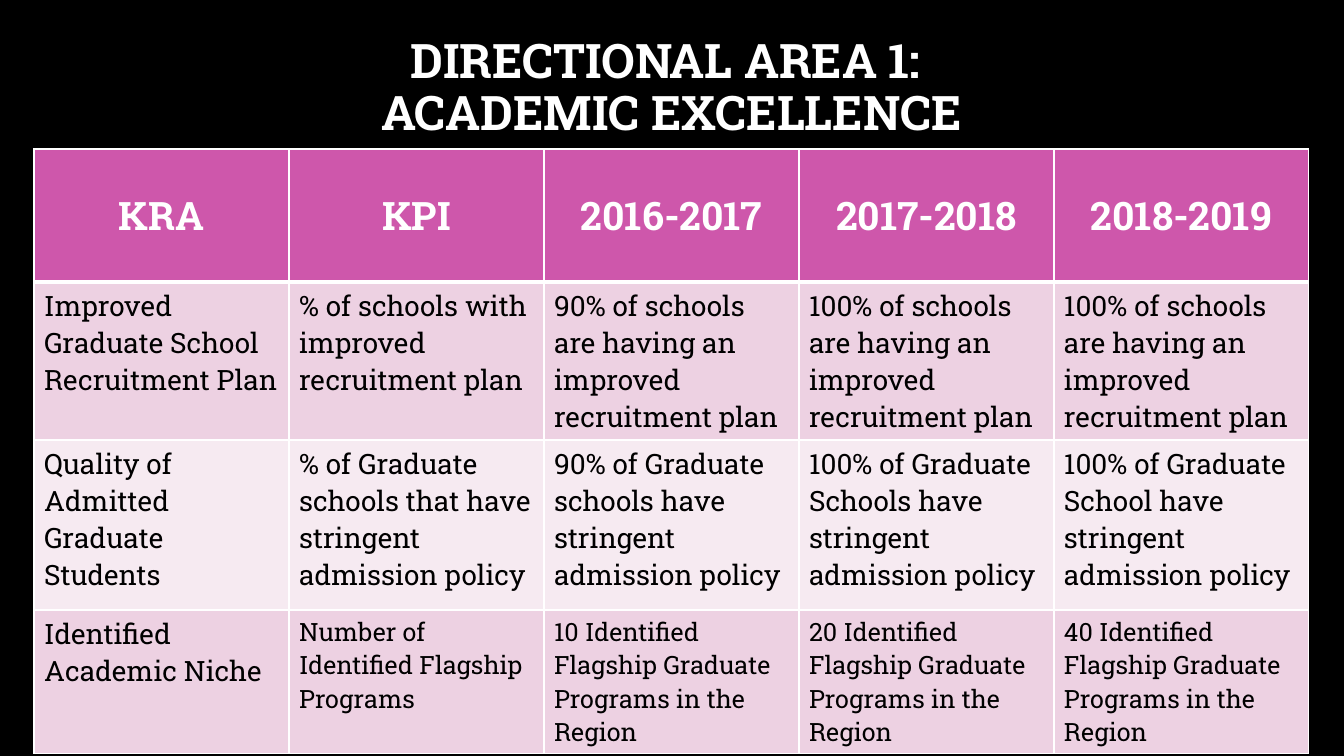
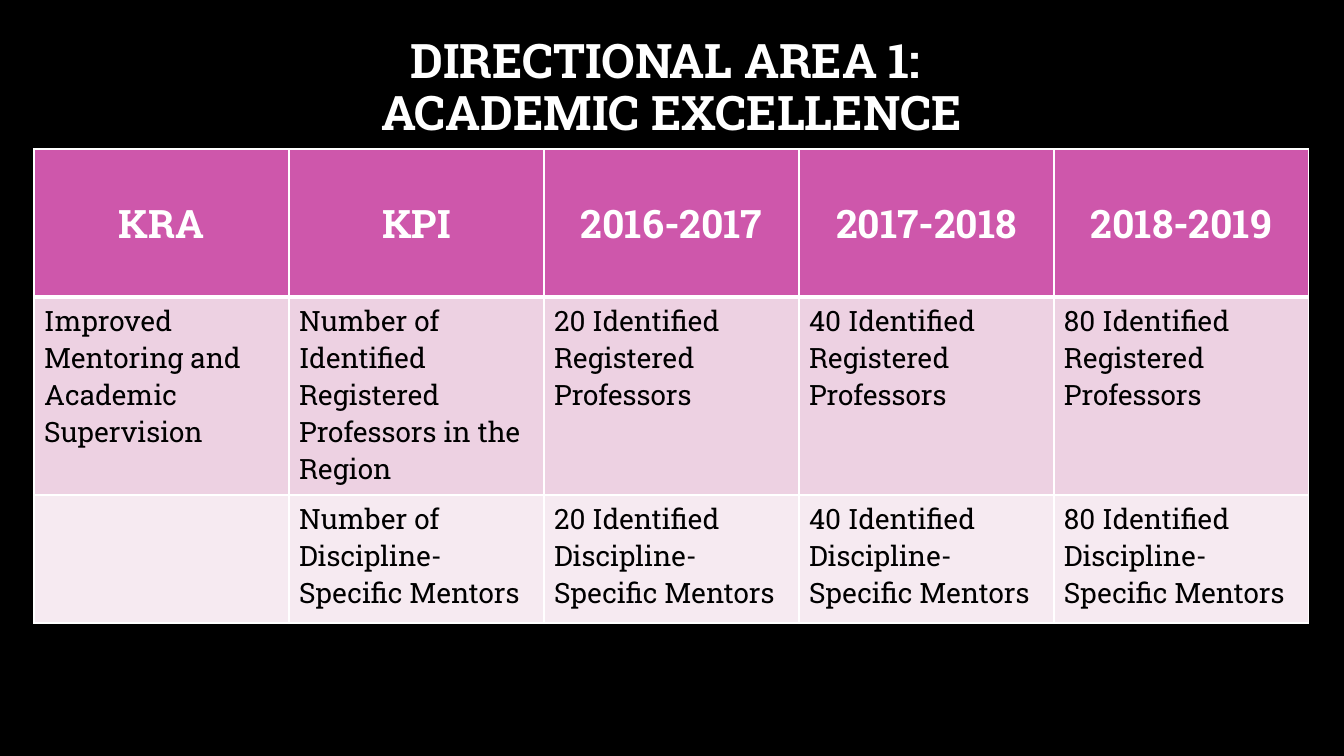
from lxml import etree
from pptx import Presentation
from pptx.dml.color import RGBColor
from pptx.enum.text import MSO_ANCHOR, MSO_AUTO_SIZE, PP_ALIGN
from pptx.oxml.ns import qn
from pptx.util import Emu, Pt

MIDDLE, TOP = MSO_ANCHOR.MIDDLE, MSO_ANCHOR.TOP
CENTER, LEFT = PP_ALIGN.CENTER, PP_ALIGN.LEFT
NO_AUTOFIT = MSO_AUTO_SIZE.NONE

BLACK = RGBColor(0x00, 0x00, 0x00)
WHITE = RGBColor(0xFF, 0xFF, 0xFF)
PINK = RGBColor(0xCE, 0x57, 0xAB)
BANDS = [RGBColor(0xED, 0xD1, 0xE2), RGBColor(0xF6, 0xEA, 0xF1)]

FONT = "Roboto Slab"
PX = 914400 / 100.8
TITLE = "DIRECTIONAL AREA 1: \vACADEMIC EXCELLENCE"
HEADER = ["KRA", "KPI", "2016-2017", "2017-2018", "2018-2019"]
TABLE_LEFT, TABLE_TOP, COL_WIDTH = 34, 149, 255

# Each slide: row heights in px, body rows, and the text sizes that differ from 20 pt
SLIDES = [
    ([133, 133, 170, 133], [
        ["Improved Graduate School Recruitment Plan",
         "% of schools with improved recruitment plan",
         "90% of schools are having an improved recruitment plan",
         "100% of schools are having an improved recruitment plan",
         "100% of schools are having an improved recruitment plan"],
        ["Quality of Admitted Graduate Students",
         "% of Graduate schools that have stringent admission policy",
         "90% of Graduate schools have stringent admission policy",
         "100% of Graduate Schools have stringent admission policy",
         "100% of Graduate School have stringent admission policy"],
        ["Identified Academic Niche",
         "Number of Identified Flagship Programs",
         "10 Identified Flagship Graduate Programs in the Region",
         "20 Identified Flagship Graduate Programs in the Region",
         "40 Identified Flagship Graduate Programs in the Region"],
    ], {(3, col): 18 for col in range(1, 5)}),
    ([148, 198, 128], [
        ["Improved Mentoring and Academic Supervision",
         "Number of Identified Registered Professors in the Region",
         "20 Identified Registered Professors",
         "40 Identified Registered Professors",
         "80 Identified Registered Professors"],
        ["",
         "Number of Discipline-Specific Mentors",
         "20 Identified Discipline-Specific Mentors",
         "40 Identified Discipline-Specific Mentors",
         "80 Identified Discipline-Specific Mentors"],
    ], {}),
]


def px(n):
    return Emu(round(n * PX))


def set_borders(cell, **widths):
    """Draw white borders; widths are points keyed by side, in the order L, R, T, B."""
    tc_pr = cell._tc.get_or_add_tcPr()
    for side, width in widths.items():
        ln = etree.SubElement(tc_pr, qn(f"a:ln{side}"), w=str(Pt(width)))
        fill = etree.SubElement(ln, qn("a:solidFill"))
        etree.SubElement(fill, qn("a:srgbClr"), val=str(WHITE))


prs = Presentation()
prs.slide_width, prs.slide_height = px(1344), px(756)
background = prs.slide_master.background.fill
background.solid()
background.fore_color.rgb = BLACK

for heights, body, sizes in SLIDES:
    s = prs.slides.add_slide(prs.slide_layouts[5])

    title = s.shapes.title
    title.left, title.top, title.width, title.height = px(101), px(16), px(1141), px(146)
    tf = title.text_frame
    tf.text = TITLE
    tf.auto_size = NO_AUTOFIT
    tf.vertical_anchor = MIDDLE
    p = tf.paragraphs[0]
    p.alignment = CENTER
    p.line_spacing = 0.9
    p.font.name, p.font.size, p.font.bold = FONT, Pt(34), True
    p.font.color.rgb = WHITE

    rows = [HEADER] + body
    table = s.shapes.add_table(
        len(rows), len(HEADER), px(TABLE_LEFT), px(TABLE_TOP),
        px(COL_WIDTH * len(HEADER)), px(sum(heights))).table
    for column in table.columns:
        column.width = px(COL_WIDTH)

    for i, texts in enumerate(rows):
        table.rows[i].height = px(heights[i])
        is_header = i == 0
        for j, text in enumerate(texts):
            cell = table.cell(i, j)
            set_borders(cell, L=1, R=1, T=3 if i == 1 else 1, B=3 if is_header else 1)
            cell.fill.solid()
            cell.fill.fore_color.rgb = PINK if is_header else BANDS[(i - 1) % 2]
            cell.vertical_anchor = MIDDLE if is_header else TOP
            cell.text = text
            p = cell.text_frame.paragraphs[0]
            p.alignment = CENTER if is_header else LEFT
            p.font.name, p.font.bold = FONT, is_header
            p.font.size = Pt(28 if is_header else sizes.get((i, j), 20))
            p.font.color.rgb = WHITE if is_header else BLACK

prs.save("out.pptx")
